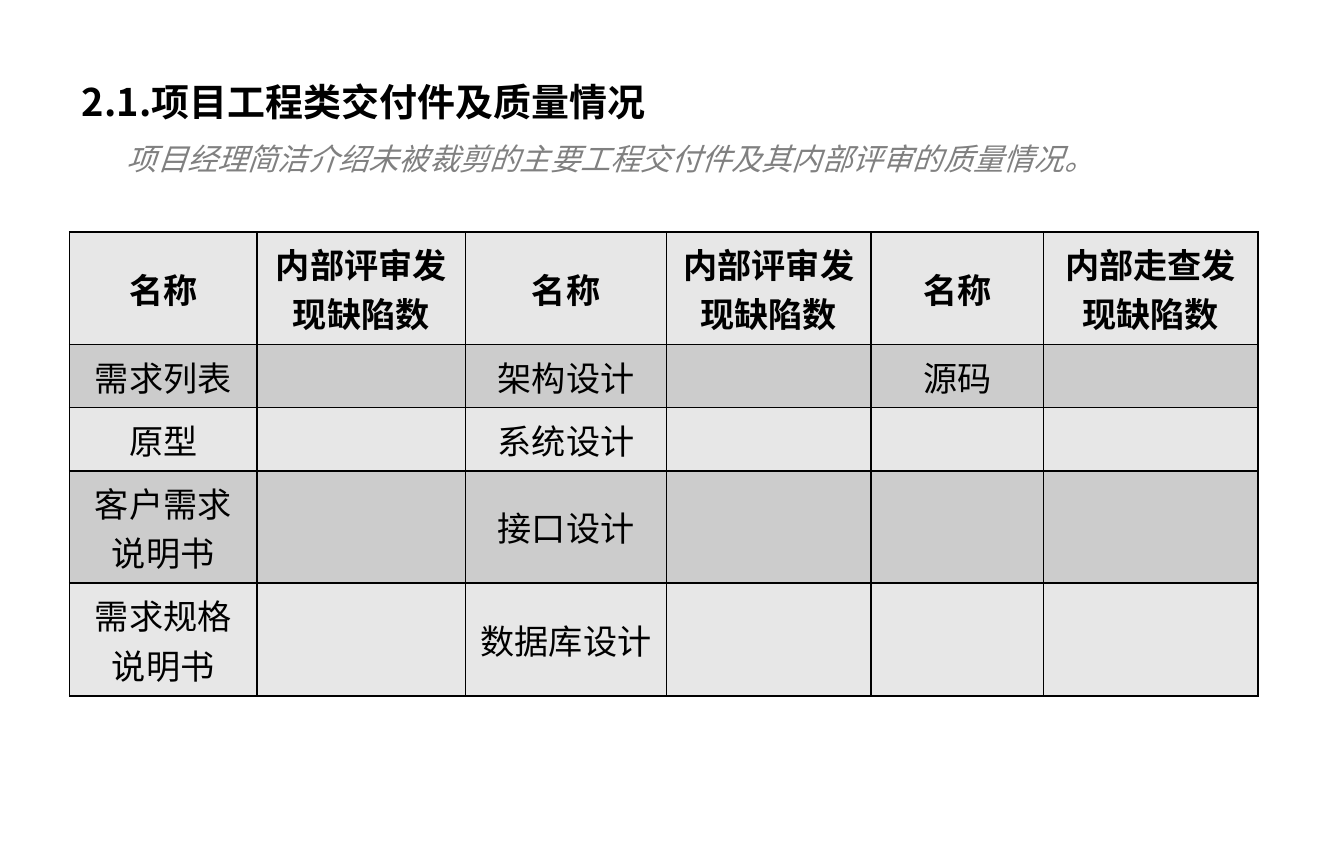
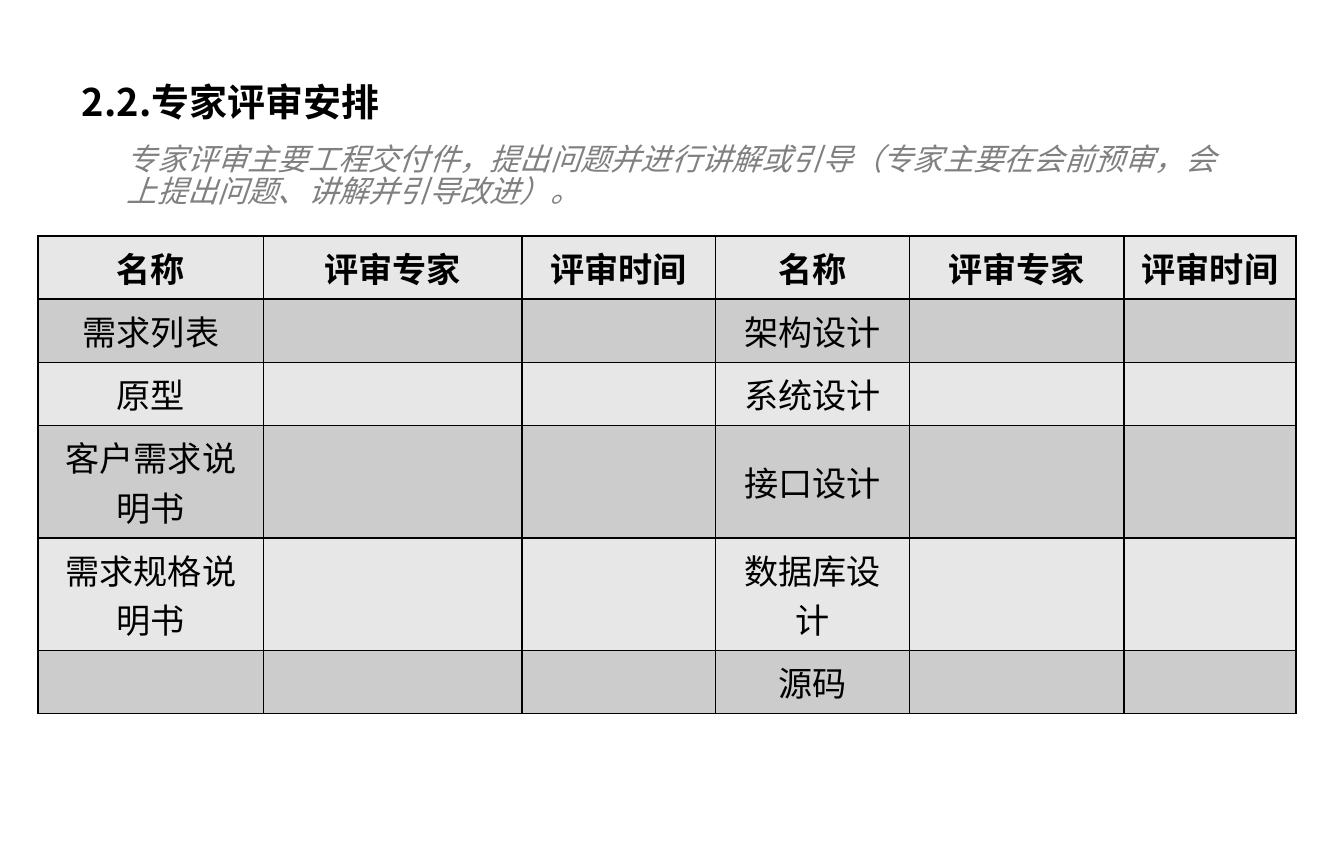
from lxml.etree import SubElement
from pptx import Presentation
from pptx.dml.color import RGBColor as RGB
from pptx.enum.text import MSO_ANCHOR as ANCHOR, PP_ALIGN as ALIGN
from pptx.oxml.ns import qn
from pptx.util import Inches, Pt

COLORS = {"text": "000000", "note": "808080", "border": "000000",
          "light": "E7E7E7", "dark": "CCCCCC"}
LATIN, CJK = "Arial", "Noto Sans CJK SC"
TITLE_BOX = (0.5, 0.56, 9, 0.79)
ROW_HEIGHT = 0.41


def place(s, box):
    s.left, s.top, s.width, s.height = map(Inches, box)


def style(p, size, color, name=LATIN, bold=False, italic=False):
    for r in p.runs:
        f = r.font
        f.size, f.name, f.bold, f.italic = Pt(size), name, bold, italic
        f.color.rgb = RGB.from_string(COLORS[color])
        SubElement(f._element, qn("a:ea")).set("typeface", CJK)


def add_title(slide, text, box):
    s = slide.shapes.title
    place(s, box)
    tf = s.text_frame
    tf.text = text
    tf.vertical_anchor = ANCHOR.TOP
    p = tf.paragraphs[0]
    p.alignment, p.line_spacing = ALIGN.LEFT, 0.9
    style(p, 20, "text", CJK, bold=True)


def add_note(slide, text, box):
    tf = slide.shapes.add_textbox(*map(Inches, box)).text_frame
    tf.word_wrap = True
    tf.text = text
    p = tf.paragraphs[0]
    p.line_spacing = 0.86
    style(p, 16, "note", italic=True)


def add_borders(cell):
    tc_pr = cell._tc.get_or_add_tcPr()
    for side in ("lnL", "lnR", "lnT", "lnB"):
        ln = SubElement(tc_pr, qn(f"a:{side}"), w=str(Pt(1)))
        fill = SubElement(ln, qn("a:solidFill"))
        SubElement(fill, qn("a:srgbClr"), val=COLORS["border"])


def fill_cell(cell, text, row):
    add_borders(cell)
    cell.fill.solid()
    cell.fill.fore_color.rgb = RGB.from_string(COLORS["dark" if row % 2 else "light"])
    cell.vertical_anchor = ANCHOR.MIDDLE
    cell.text = text
    p = cell.text_frame.paragraphs[0]
    p.alignment = ALIGN.CENTER
    style(p, 18, "text", bold=row == 0)


def add_grid(slide, left, top, widths, rows):
    box = (left, top, sum(widths), ROW_HEIGHT * len(rows))
    table = slide.shapes.add_table(len(rows), len(widths), *map(Inches, box)).table
    for column, width in zip(table.columns, widths):
        column.width = Inches(width)
    for i, row in enumerate(rows):
        table.rows[i].height = Inches(ROW_HEIGHT)
        for j, text in enumerate(row):
            fill_cell(table.cell(i, j), text, i)


def add_review_slide(prs, title, note, note_height, left, top, widths, rows):
    slide = prs.slides.add_slide(prs.slide_layouts[5])
    add_title(slide, title, TITLE_BOX)
    add_grid(slide, left, top, widths, rows)
    add_note(slide, note, (0.83, 1.02, 8.35, note_height))


def main():
    prs = Presentation()
    prs.slide_width, prs.slide_height = Inches(9.84), Inches(6.3)
    add_review_slide(
        prs, "2.1.项目工程类交付件及质量情况",
        "项目经理简洁介绍未被裁剪的主要工程交付件及其内部评审的质量情况。",
        0.37, 0.51, 1.7, [1.37, 1.53, 1.47, 1.5, 1.26, 1.57], [
            ["名称", "内部评审发现缺陷数", "名称", "内部评审发现缺陷数",
             "名称", "内部走查发现缺陷数"],
            ["需求列表", "", "架构设计", "", "源码", ""],
            ["原型", "", "系统设计", "", "", ""],
            ["客户需求说明书", "", "接口设计", "", "", ""],
            ["需求规格说明书", "", "数据库设计", "", "", ""],
        ])
    add_review_slide(
        prs, "2.2.专家评审安排",
        "专家评审主要工程交付件，提出问题并进行讲解或引导"
        "（专家主要在会前预审，会上提出问题、讲解并引导改进）。",
        0.64, 0.28, 1.73, [1.65, 1.89, 1.42, 1.42, 1.57, 1.26], [
            ["名称", "评审专家", "评审时间"] * 2,
            ["需求列表", "", "", "架构设计", "", ""],
            ["原型", "", "", "系统设计", "", ""],
            ["客户需求说明书", "", "", "接口设计", "", ""],
            ["需求规格说明书", "", "", "数据库设计", "", ""],
            ["", "", "", "源码", "", ""],
        ])
    prs.save("out.pptx")


if __name__ == "__main__":
    main()
